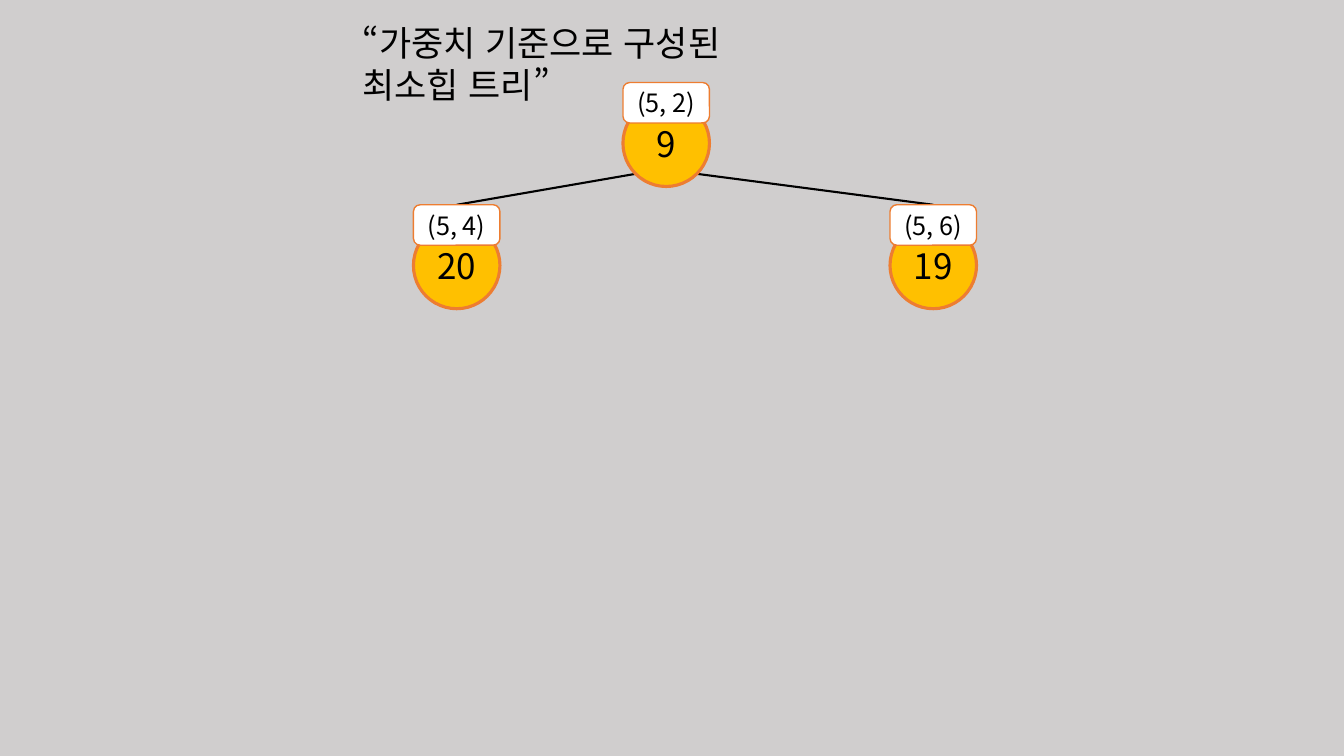
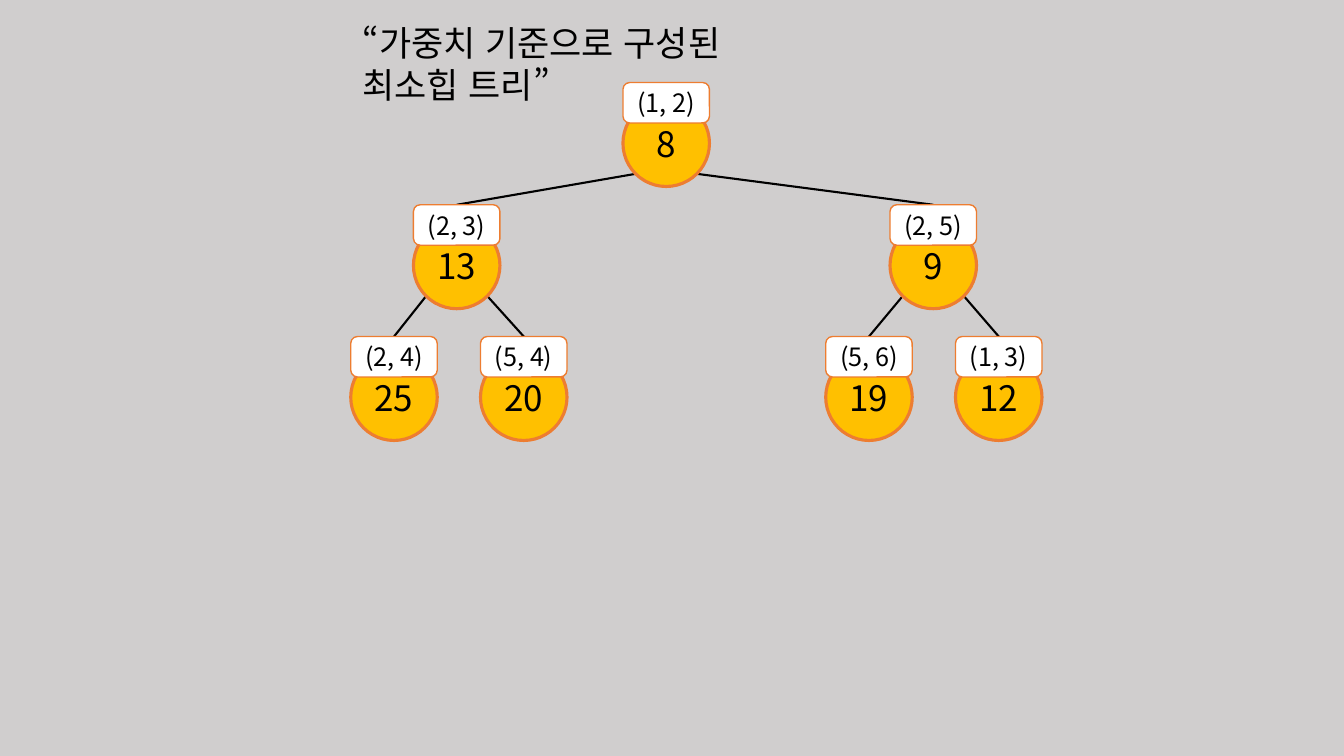
from dataclasses import dataclass
from math import sqrt

from lxml.etree import SubElement
from pptx import Presentation
from pptx.dml.color import RGBColor as RGB
from pptx.enum.lang import MSO_LANGUAGE_ID as LANG
from pptx.enum.shapes import MSO_CONNECTOR as LINK, MSO_SHAPE as SHAPE
from pptx.enum.text import MSO_ANCHOR as ANCHOR, PP_ALIGN as ALIGN
from pptx.oxml.ns import qn
from pptx.util import Cm, Pt

TITLE = "“가중치 기준으로 구성된 최소힙 트리”"
HEAPS = [
    [(9, "(5, 2)"), (20, "(5, 4)"), (19, "(5, 6)")],
    [(8, "(1, 2)"), (13, "(2, 3)"), (9, "(2, 5)"),
     (25, "(2, 4)"), (20, "(5, 4)"), (19, "(5, 6)"), (12, "(1, 3)")],
]


@dataclass(frozen=True)
class Theme:
    font: str = "Noto Sans CJK KR"
    back: RGB = RGB(0xD0, 0xCE, 0xCE)
    ink: RGB = RGB(0, 0, 0)
    gold: RGB = RGB(0xFF, 0xC0, 0x00)
    white: RGB = RGB(0xFF, 0xFF, 0xFF)
    rim: RGB = RGB(0xED, 0x7D, 0x31)
    big: int = 25
    small: int = 18
    lead: int = 30
    ring: float = 2.25
    edge: float = 1.5
    thin: float = 1


THEME = Theme()
MIDS = [16.79, 11.51, 23.52, 9.93, 13.2, 21.9, 25.17]
TOPS = [2.08, 5.16, 8.48]
DISC = 2.18
TAG = 1.02
DROP = 0.44


def spot(i):
    return MIDS[i], TOPS[(i + 1).bit_length() - 1]


def write(para, text, size):
    run = para.add_run()
    run.text = text
    font = run.font
    font.name, font.size = THEME.font, Pt(size)
    font.color.rgb = THEME.ink
    font.language_id = LANG.KOREAN
    SubElement(run._r.get_or_add_rPr(), qn("a:ea"), typeface=THEME.font)


def add_title(slide):
    box = slide.shapes.add_textbox(Cm(8.89), Cm(0.43), Cm(12.09), Cm(1.32))
    frame = box.text_frame
    frame.word_wrap = True
    frame.margin_right = Cm(0.8)
    para = frame.paragraphs[0]
    para.line_spacing = Pt(THEME.lead)
    write(para, TITLE, THEME.big)


def add_edge(slide, i):
    up = (i - 1) // 2
    x, y = spot(up)
    reach = DISC / 2 / sqrt(2)
    side = -1 if i % 2 else 1
    start = x + side * reach, y + DROP + DISC / 2 + reach
    ends = [Cm(n) for n in (*start, *spot(i))]
    line = slide.shapes.add_connector(LINK.STRAIGHT, *ends)
    line.line.color.rgb = THEME.ink
    line.line.width = Pt(THEME.edge)
    SubElement(line._element.spPr, qn("a:effectLst"))


def add_part(group, kind, box, fill, rim, text, size):
    part = group.shapes.add_shape(kind, *[Cm(n) for n in box])
    part.shadow.inherit = False
    part.fill.solid()
    part.fill.fore_color.rgb = fill
    part.line.color.rgb = THEME.rim
    part.line.width = Pt(rim)
    frame = part.text_frame
    frame.margin_left = frame.margin_right = 0
    frame.vertical_anchor = ANCHOR.MIDDLE
    para = frame.paragraphs[0]
    para.alignment = ALIGN.CENTER
    write(para, text, size)


def add_node(slide, i, weight, pair):
    mid, top = spot(i)
    left = mid - DISC / 2
    group = slide.shapes.add_group_shape()
    add_part(group, SHAPE.OVAL, (left, top + DROP, DISC, DISC),
             THEME.gold, THEME.ring, str(weight), THEME.big)
    add_part(group, SHAPE.ROUNDED_RECTANGLE, (left, top, DISC, TAG),
             THEME.white, THEME.thin, pair, THEME.small)


def add_heap(deck, heap):
    slide = deck.slides.add_slide(deck.slide_layouts[6])
    fill = slide.background.fill
    fill.solid()
    fill.fore_color.rgb = THEME.back
    add_title(slide)
    for i in range(1, len(heap)):
        add_edge(slide, i)
    for i, (weight, pair) in enumerate(heap):
        add_node(slide, i, weight, pair)


def main():
    deck = Presentation()
    deck.slide_width, deck.slide_height = Cm(33.87), Cm(19.05)
    for heap in HEAPS:
        add_heap(deck, heap)
    deck.save("out.pptx")


if __name__ == "__main__":
    main()
